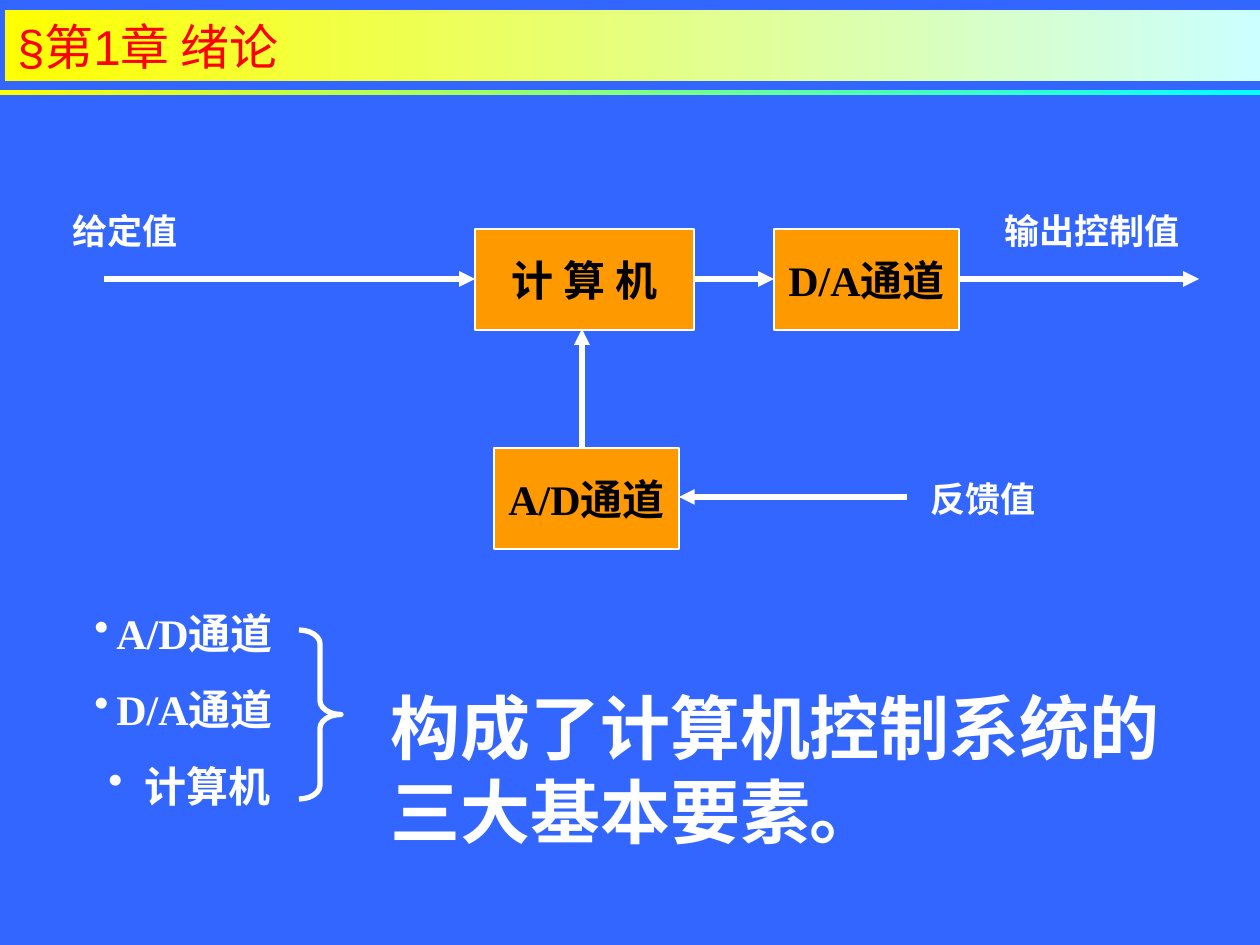
from typing import NamedTuple

from pptx import Presentation
from pptx.dml.color import RGBColor
from pptx.enum.shapes import MSO_CONNECTOR as Connector, MSO_SHAPE as Preset
from pptx.enum.text import MSO_ANCHOR as Anchor, PP_ALIGN as Align
from pptx.oxml.ns import qn
from pptx.util import Emu, Pt
from lxml.etree import SubElement

PX_PER_INCH = 126
COLORS = {
    "background": "3366FF",
    "block": "FF9900",
    "white": "FFFFFF",
    "black": "000000",
    "title": "FF0000",
    "yellow": "FFFF00",
    "cyan": "00FFFF",
    "pale_cyan": "CCFFFF",
}


class Box(NamedTuple):
    left: int
    top: int
    width: int
    height: int


class Label(NamedTuple):
    text: str
    box: Box


class Arrow(NamedTuple):
    start: tuple[int, int]
    end: tuple[int, int]


class Bullet(NamedTuple):
    text: str
    marker: int
    margin: int


BLOCKS = [
    Label("计 算 机", Box(475, 229, 219, 101)),
    Label("D/A通道", Box(774, 229, 185, 101)),
    Label("A/D通道", Box(494, 448, 185, 101)),
]
SIGNALS = [
    Label("给定值", Box(49, 203, 153, 55)),
    Label("反馈值", Box(907, 471, 153, 55)),
    Label("输出控制值", Box(985, 203, 214, 55)),
]
ARROWS = [
    Arrow((104, 279), (475, 279)),
    Arrow((694, 279), (774, 279)),
    Arrow((959, 279), (1199, 279)),
    Arrow((582, 448), (582, 329)),
    Arrow((907, 497), (679, 497)),
]
ELEMENTS = [
    Bullet("A/D通道", 0, 22),
    Bullet("D/A通道", 0, 22),
    Bullet("计算机", 14, 50),
]


def px(length: int) -> Emu:
    return Emu(round(length * 914400 / PX_PER_INCH))


def place(box: Box) -> list[Emu]:
    return [px(length) for length in box]


def rgb(name: str) -> RGBColor:
    return RGBColor.from_string(COLORS[name])


def add_run(paragraph, text: str, size: int, color: str,
            font: str = "Times New Roman", bold: bool = True) -> None:
    run = paragraph.add_run()
    run.text = text
    run.font.name = font
    run.font.size = Pt(size)
    run.font.bold = bold
    run.font.color.rgb = rgb(color)


def add_preset(slide, preset, box: Box):
    shape = slide.shapes.add_shape(preset, *place(box))
    shape.shadow.inherit = False
    return shape


def add_gradient_bar(slide, box: Box, *stops: str):
    bar = add_preset(slide, Preset.RECTANGLE, box)
    bar.line.fill.background()
    bar.fill.gradient()
    bar.fill.gradient_angle = 0
    for stop, color in zip(bar.fill.gradient_stops, stops):
        stop.color.rgb = rgb(color)
    return bar


def add_text_frame(slide, box: Box):
    frame = slide.shapes.add_textbox(*place(box)).text_frame
    frame.word_wrap = True
    return frame


def add_block(slide, block: Label) -> None:
    shape = add_preset(slide, Preset.RECTANGLE, block.box)
    shape.fill.solid()
    shape.fill.fore_color.rgb = rgb("block")
    shape.line.color.rgb = rgb("white")
    shape.line.width = Pt(1.5)
    shape.text_frame.word_wrap = False
    shape.text_frame.vertical_anchor = Anchor.MIDDLE
    paragraph = shape.text_frame.paragraphs[0]
    paragraph.alignment = Align.CENTER
    add_run(paragraph, block.text, 24, "black")


def add_signal(slide, signal: Label) -> None:
    paragraph = add_text_frame(slide, signal.box).paragraphs[0]
    paragraph.alignment = Align.CENTER
    add_run(paragraph, signal.text, 20, "white")


def add_arrow(slide, arrow: Arrow) -> None:
    ends = [px(length) for point in arrow for length in point]
    connector = slide.shapes.add_connector(Connector.STRAIGHT, *ends)
    connector.line.color.rgb = rgb("white")
    connector.line.width = Pt(3)
    SubElement(connector.line._get_or_add_ln(), qn("a:tailEnd"), type="triangle")
    SubElement(connector._element.spPr, qn("a:effectLst"))


def add_bullets(slide, box: Box, bullets: list[Bullet]) -> None:
    frame = add_text_frame(slide, box)
    for index, bullet in enumerate(bullets):
        paragraph = frame.add_paragraph() if index else frame.paragraphs[0]
        if index:
            paragraph.space_before = Pt(15)
        properties = paragraph._p.get_or_add_pPr()
        properties.set("marL", str(px(bullet.margin)))
        properties.set("indent", str(px(bullet.marker - bullet.margin)))
        SubElement(properties, qn("a:buChar"), char="•")
        add_run(paragraph, bullet.text, 24, "white")


def add_brace(slide, box: Box) -> None:
    brace = add_preset(slide, Preset.RIGHT_BRACE, box)
    brace.adjustments[0] = 0.33
    brace.fill.background()
    brace.line.color.rgb = rgb("white")
    brace.line.width = Pt(3)


def add_title(slide) -> None:
    bar = add_gradient_bar(slide, Box(5, 10, 1255, 71), "yellow", "pale_cyan")
    bar.text_frame.vertical_anchor = Anchor.MIDDLE
    paragraph = bar.text_frame.paragraphs[0]
    paragraph.alignment = Align.LEFT
    add_run(paragraph, "§第1章 绪论", 28, "title", font="Arial", bold=False)


def main() -> None:
    presentation = Presentation()
    presentation.slide_width = px(1260)
    presentation.slide_height = px(945)
    slide = presentation.slides.add_slide(presentation.slide_layouts[6])
    slide.background.fill.solid()
    slide.background.fill.fore_color.rgb = rgb("background")

    add_gradient_bar(slide, Box(0, 90, 1260, 5), "yellow", "cyan")
    for block in BLOCKS:
        add_block(slide, block)
    for arrow in ARROWS:
        add_arrow(slide, arrow)
    for signal in SIGNALS:
        add_signal(slide, signal)

    add_bullets(slide, Box(82, 601, 217, 217), ELEMENTS)
    add_brace(slide, Box(299, 630, 42, 169))
    conclusion = add_text_frame(slide, Box(378, 678, 853, 181)).paragraphs[0]
    add_run(conclusion, "构成了计算机控制系统的三大基本要素。", 40, "white")
    add_title(slide)

    presentation.save("out.pptx")


if __name__ == "__main__":
    main()
